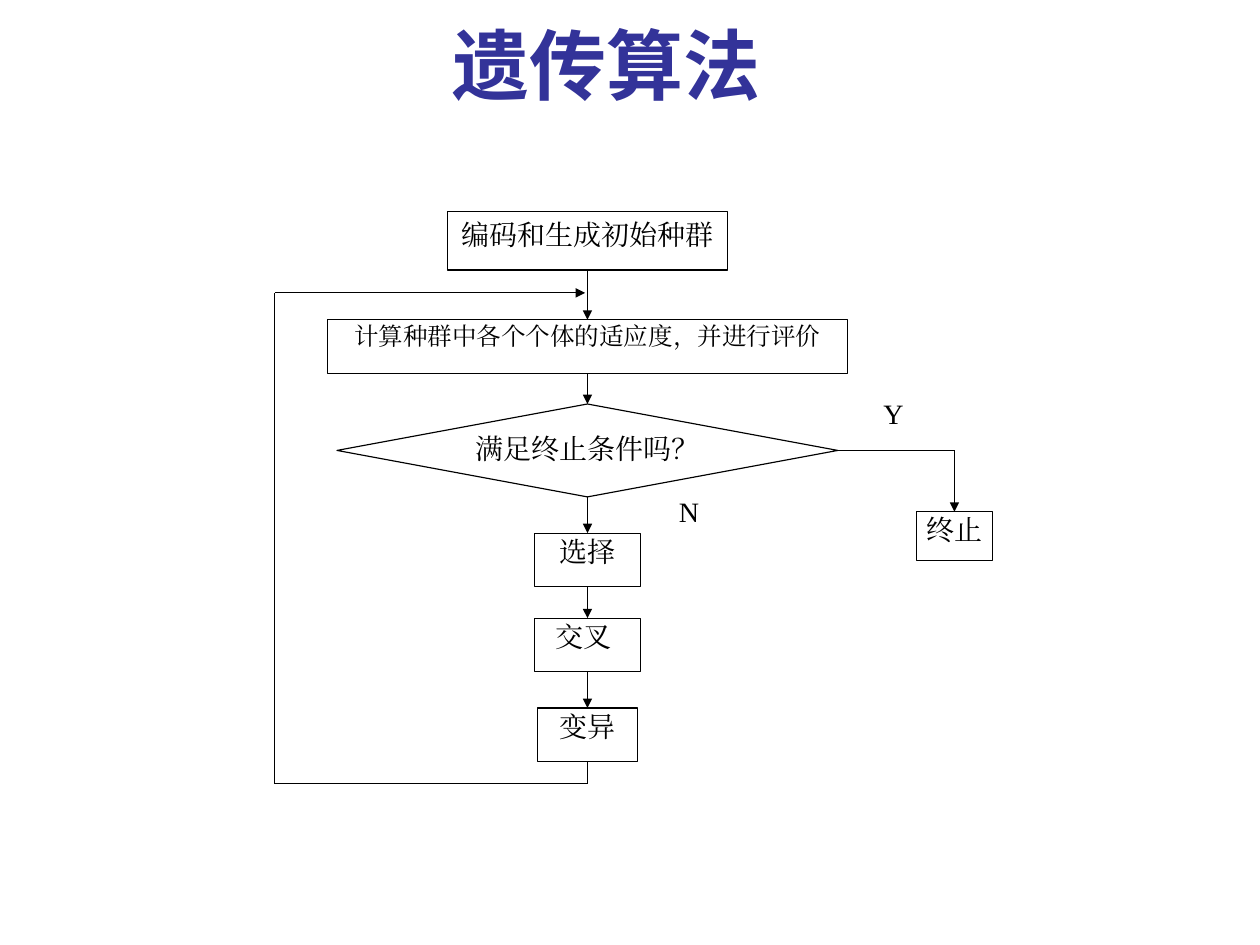
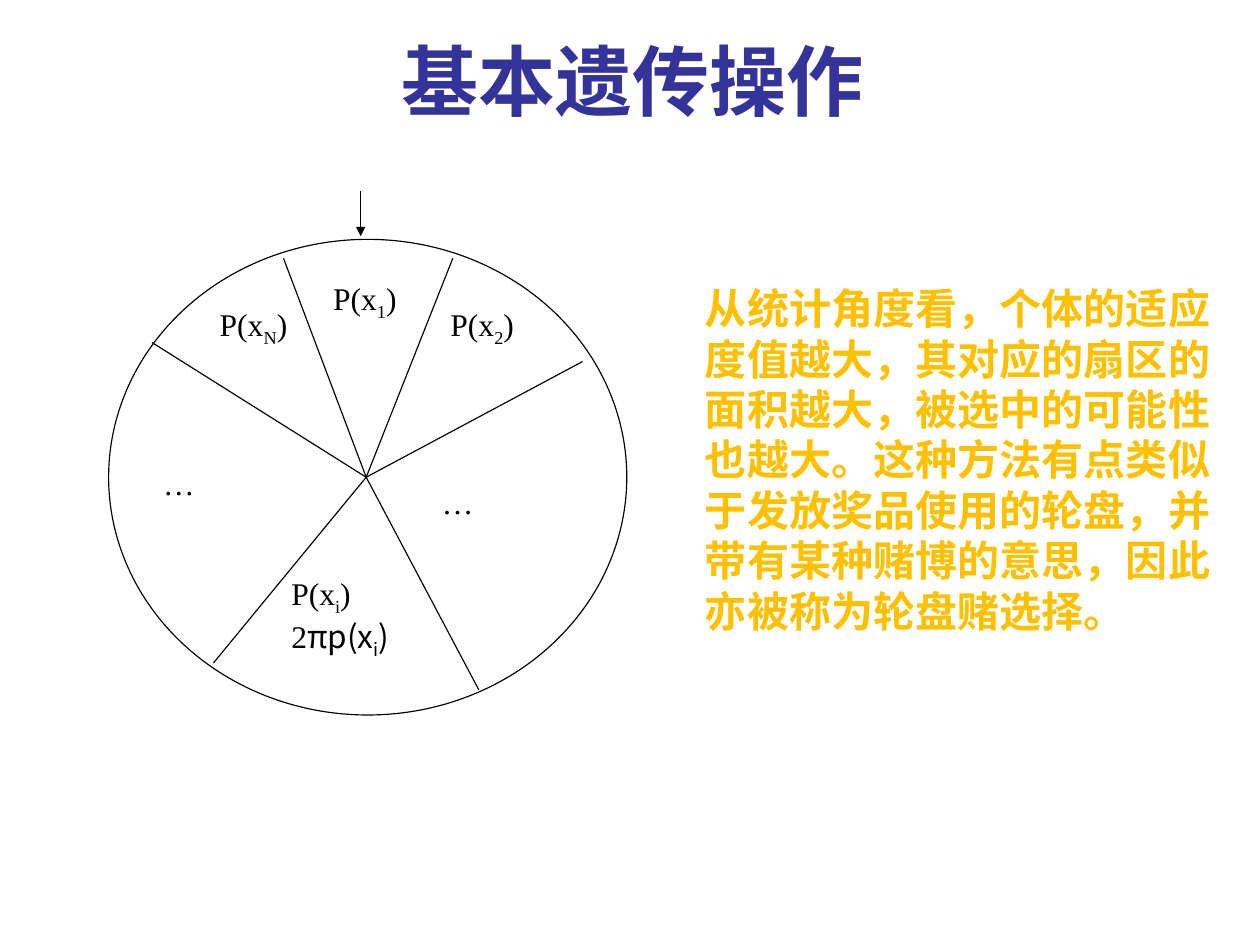
from pptx import Presentation
from pptx.dml.color import RGBColor
from pptx.enum.shapes import MSO_CONNECTOR, MSO_SHAPE
from pptx.enum.text import MSO_ANCHOR, MSO_AUTO_SIZE, PP_ALIGN
from pptx.oxml.ns import qn
from pptx.util import Pt
from lxml.etree import SubElement

# Shared style
BLACK = RGBColor(0x00, 0x00, 0x00)
WHITE = RGBColor(0xFF, 0xFF, 0xFF)
NAVY = RGBColor(0x33, 0x33, 0x99)
GOLD = RGBColor(0xFF, 0xC0, 0x00)
SERIF, SANS_JP, SANS_SC = "Times New Roman", "Noto Sans CJK JP", "Noto Sans CJK SC"
TITLE_SIZE, TITLE_PITCH = 48.9, 59
BODY_SIZE, BODY_PITCH = 26.7, 32
LABEL_SIZE = 20
DEFAULT_INS = (7.2, 3.6, 7.2, 3.6)
TIGHT_INS = (1.5, 0.7, 1.5, 0.7)

# Slide 1: flowchart steps centred on one axis
FLOW_TITLE = ("遗传算法", 141, 7)
AXIS = 373
STEPS = [  # name, text, top, width, height, size, insets
    ("init", "编码和生成初始种群", 134.5, 178, 37, 17.8, DEFAULT_INS),
    ("fitness", "计算种群中各个个体的适应度，并进行评价", 203, 330, 34, 15.6, (5, 0.7, 5, 0.7)),
    ("test", "满足终止条件吗？", 256.5, 318, 59, 17.8, (0, 3, 0, 0)),
    ("select", "选择", 338.5, 67, 34, 17.8, (7.2, 0.7, 7.2, 0.7)),
    ("cross", "交叉", 392.5, 67, 34, 17.8, (1.5, 0.7, 7.2, 0.7)),
    ("mutate", "变异", 449.5, 63.5, 34, 17.8, TIGHT_INS),
]
STOP = ("终止", 582, 325, 48, 31)
BRANCHES = [("Y", 546, 251, 42.5, 28), ("N", 415.5, 313, 44, 31)]
LOOP_LEFT, LOOP_TOP, LOOP_BOTTOM = 174.5, 186, 497.5

# Slide 2: roulette wheel
WHEEL_TITLE = ("基本遗传操作", 157.5, 17.5)
WHEEL = (69, 152, 329, 302)
HUB = (232.5, 303)
SPOKE_ENDS = [(287.5, 164), (180, 164), (370, 229.5), (135.5, 421), (304, 438), (96.5, 217.5)]
POINTER = ((229, 121.5), (229, 150))
WHEEL_LABELS = [  # box, insets, lines of (text, font, is subscript)
    ((210, 176.5, 52.5, 41), TIGHT_INS, [[("P(x", SERIF, 0), ("1", SERIF, 1), (")", SERIF, 0)]]),
    ((284.5, 193, 55.5, 44.5), TIGHT_INS, [[("P(x", SERIF, 0), ("2", SERIF, 1), (")", SERIF, 0)]]),
    ((138, 193, 52.5, 44.5), TIGHT_INS, [[("P(x", SERIF, 0), ("N", SERIF, 1), (")", SERIF, 0)]]),
    ((273.5, 303, 83, 49), DEFAULT_INS, [[("…", SERIF, 0)]]),
    ((96.5, 291, 91.5, 53), DEFAULT_INS, [[("…", SERIF, 0)]]),
    ((185, 364.5, 72, 73.5), (0, 0, 0, 0), [
        [("P(x", SERIF, 0), ("i", SERIF, 1), (")", SERIF, 0)],
        [("2", SERIF, 0), ("πp(x", SANS_SC, 0), ("i", SANS_SC, 1), (")", SANS_SC, 0)],
    ]),
]
EXPLANATION = ("从统计角度看，个体的适应度值越大，其对应的扇区的面积越大，被选中的可能性也越大。"
               "这种方法有点类似于发放奖品使用的轮盘，并带有某种赌博的意思，因此亦被称为轮盘赌选择。")


def add_run(p, text, size, font=SERIF, color=BLACK, bold=False, sub=False):
    r = p.add_run()
    r.text = text
    r.font.size, r.font.name, r.font.bold = Pt(size), font, bold
    r.font.color.rgb = color
    rPr = r._r.get_or_add_rPr()
    SubElement(rPr, qn("a:ea")).set("typeface", font)
    if sub:
        rPr.set("baseline", "-25000")


def set_frame(tf, insets=DEFAULT_INS):
    tf.word_wrap = True
    tf.auto_size = MSO_AUTO_SIZE.NONE
    tf.vertical_anchor = MSO_ANCHOR.TOP
    tf.margin_left, tf.margin_top, tf.margin_right, tf.margin_bottom = map(Pt, insets)


def add_slide(prs, text, left, top):
    s = prs.slides.add_slide(prs.slide_layouts[5])
    title = s.shapes.title
    title.left, title.top, title.width, title.height = Pt(left), Pt(top), Pt(488), Pt(66)
    set_frame(title.text_frame)
    p = title.text_frame.paragraphs[0]
    p.alignment, p.line_spacing = PP_ALIGN.CENTER, Pt(TITLE_PITCH)
    add_run(p, text, TITLE_SIZE, SANS_JP, NAVY, True)
    return s


def add_box(s, box, insets=TIGHT_INS, kind=MSO_SHAPE.RECTANGLE, outlined=True):
    sp = s.shapes.add_shape(kind, *map(Pt, box))
    sp.shadow.inherit = False
    sp.fill.solid()
    sp.fill.fore_color.rgb = WHITE
    if outlined:
        sp.line.color.rgb, sp.line.width = BLACK, Pt(0.75)
    else:
        sp.line.fill.background()
    set_frame(sp.text_frame, insets)
    return sp


def add_flow_box(s, text, box, size=17.8, **style):
    sp = add_box(s, box, **style)
    p = sp.text_frame.paragraphs[0]
    p.alignment = PP_ALIGN.CENTER
    add_run(p, text, size)
    return sp


def add_line(s, start, end, arrow=False):
    """Each end is an (x, y) point or a (shape, site) pair."""
    joined = [not isinstance(e[0], (int, float)) for e in (start, end)]
    points = [(0, 0) if j else e for j, e in zip(joined, (start, end))]
    c = s.shapes.add_connector(MSO_CONNECTOR.STRAIGHT, *(Pt(v) for pt in points for v in pt))
    if joined[0]:
        c.begin_connect(*start)
    if joined[1]:
        c.end_connect(*end)
    c.line.color.rgb, c.line.width = BLACK, Pt(0.75)
    if arrow:
        SubElement(c.line._get_or_add_ln(), qn("a:tailEnd")).set("type", "triangle")
    SubElement(c._element.spPr, qn("a:effectLst"))


def build_flowchart(prs):
    s = add_slide(prs, *FLOW_TITLE)

    # Steps and the arrows between them
    steps = {}
    for name, text, top, width, height, size, insets in STEPS:
        kind = MSO_SHAPE.DIAMOND if name == "test" else MSO_SHAPE.RECTANGLE
        steps[name] = add_flow_box(s, text, (AXIS - width / 2, top, width, height), size,
                                   insets=insets, kind=kind)
    column = list(steps.values())
    for upper, lower in zip(column, column[1:]):
        add_line(s, (upper, 2), (lower, 0), arrow=True)

    # Exit branch
    text, left, top, width, height = STOP
    stop = add_flow_box(s, text, (left, top, width, height))
    corner = (left + width / 2, 286)
    add_line(s, (steps["test"], 3), corner)
    add_line(s, corner, (stop, 0), arrow=True)
    for text, *box in BRANCHES:
        add_flow_box(s, text, box, outlined=False)

    # Loop back
    low_right, low_left = (AXIS, LOOP_BOTTOM), (LOOP_LEFT, LOOP_BOTTOM)
    high_left = (LOOP_LEFT, LOOP_TOP)
    add_line(s, (steps["mutate"], 2), low_right)
    add_line(s, low_right, low_left)
    add_line(s, low_left, high_left)
    add_line(s, high_left, (AXIS - 1.5, LOOP_TOP), arrow=True)


def build_wheel(prs):
    s = add_slide(prs, *WHEEL_TITLE)

    # Wheel, spokes and pointer
    add_box(s, WHEEL, kind=MSO_SHAPE.OVAL)
    for end in SPOKE_ENDS:
        add_line(s, HUB, end)
    add_line(s, *POINTER, arrow=True)

    # Sector labels
    for box, insets, lines in WHEEL_LABELS:
        tf = add_box(s, box, insets, outlined=False).text_frame
        for i, runs in enumerate(lines):
            p = tf.add_paragraph() if i else tf.paragraphs[0]
            p.alignment = PP_ALIGN.JUSTIFY
            for text, font, sub in runs:
                add_run(p, text, LABEL_SIZE, font, sub=bool(sub))

    # Explanation
    tf = s.shapes.add_textbox(Pt(440.5), Pt(176), Pt(336), Pt(266)).text_frame
    set_frame(tf)
    p = tf.paragraphs[0]
    p.alignment, p.line_spacing = PP_ALIGN.LEFT, Pt(BODY_PITCH)
    add_run(p, EXPLANATION, BODY_SIZE, SANS_JP, GOLD, True)


def main():
    prs = Presentation()
    prs.slide_width, prs.slide_height = Pt(800), Pt(600)
    build_flowchart(prs)
    build_wheel(prs)
    prs.save("out.pptx")


if __name__ == "__main__":
    main()
